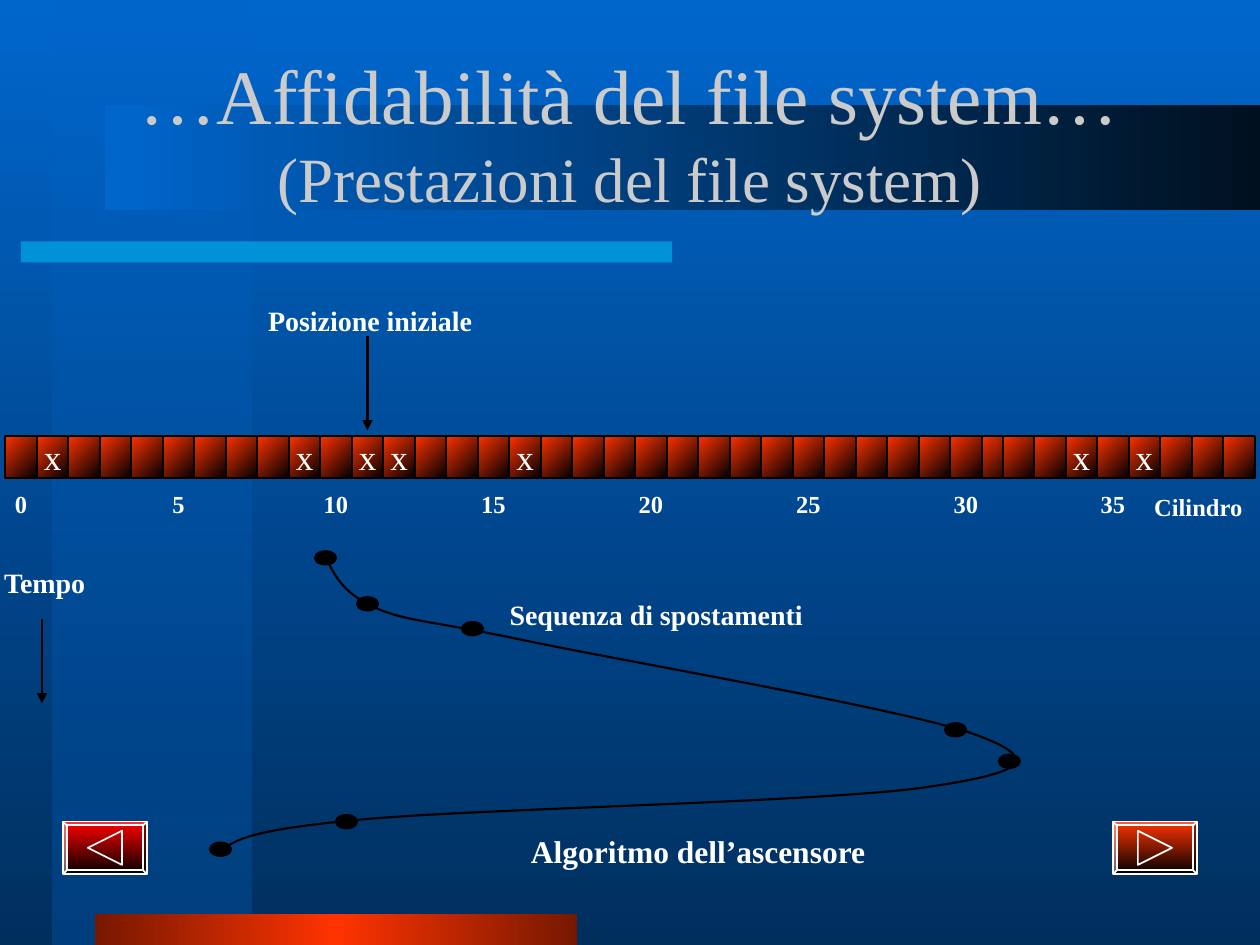
import copy

from lxml import etree
from pptx import Presentation
from pptx import util as u
from pptx.dml.color import RGBColor
from pptx.enum import shapes, text
from pptx.oxml.ns import qn

PX = 9525  # 96 px to the inch
FONT = "Times New Roman"
BLACK = RGBColor(0x00, 0x00, 0x00)
WHITE = RGBColor(0xFF, 0xFF, 0xFF)
SILVER = RGBColor(0xCB, 0xCB, 0xCB)
BLUE = RGBColor(0x00, 0x66, 0xCC)
DEEP_BLUE = RGBColor(0x00, 0x3F, 0x7E)
NAVY = RGBColor(0x00, 0x2F, 0x5E)
NIGHT = RGBColor(0x00, 0x10, 0x1F)
CYAN = RGBColor(0x00, 0xCC, 0xFF)
RED = RGBColor(0xFF, 0x00, 0x00)
ORANGE = RGBColor(0xFF, 0x33, 0x00)
MAROON = RGBColor(0x76, 0x18, 0x00)


def paint_gradient(fill, colors, angle):
    """Fill with evenly spaced colours; the angle runs clockwise in degrees."""
    fill.gradient()
    fill.gradient_angle = (360 - angle) % 360
    first = fill.gradient_stops[0]._gs
    for _ in colors[2:]:
        first.addnext(copy.deepcopy(first))
    for i, (stop, color) in enumerate(zip(fill.gradient_stops, colors)):
        stop.position = i / (len(colors) - 1)
        stop.color.rgb = color


def write(shape, lines, color, bold=False, wrap=False, inset=5):
    """Put centred (text, point size) lines into a shape."""
    frame = shape.text_frame
    frame.word_wrap = wrap
    frame.vertical_anchor = text.MSO_ANCHOR.MIDDLE
    frame.margin_left = frame.margin_right = inset * PX
    frame.margin_top = frame.margin_bottom = 5 * PX
    for i, (line, size) in enumerate(lines):
        paragraph = frame.add_paragraph() if i else frame.paragraphs[0]
        paragraph.text = line
        paragraph.alignment = text.PP_ALIGN.CENTER
        paragraph.font.name = FONT
        paragraph.font.size = u.Pt(size)
        paragraph.font.bold = bold
        paragraph.font.color.rgb = color


presentation = Presentation()
presentation.slide_width = 960 * PX
presentation.slide_height = 720 * PX
slide = presentation.slides.add_slide(presentation.slide_layouts[6])
paint_gradient(slide.background.fill, [BLUE, NAVY], 90)

# Decorative bands
bands = [
    ((40, 0, 152, 720), [BLUE, DEEP_BLUE], 90),
    ((16, 184, 496, 16), [CYAN], 0),
    ((72, 696, 368, 24), [MAROON, ORANGE, MAROON], 0),
    ((80, 80, 880, 80), [BLUE, NIGHT], 0),
]
for box, colors, angle in bands:
    band = slide.shapes.add_shape(shapes.MSO_SHAPE.RECTANGLE, *(n * PX for n in box))
    band.shadow.inherit = False
    band.line.fill.background()
    if len(colors) > 1:
        paint_gradient(band.fill, colors, angle)
    else:
        band.fill.solid()
        band.fill.fore_color.rgb = colors[0]
    if box[1] in (0, 184):  # side panel and cyan bar start half transparent
        first_color = next(band._element.spPr.iter(qn("a:srgbClr")))
        etree.SubElement(first_color, qn("a:alpha"), val="50000")

# Navigation buttons
buttons = [
    (48, RED, [(67, 646), (93, 633), (93, 659)]),
    (848, ORANGE, [(867, 633), (893, 646), (867, 659)]),
]
for left, color, corners in buttons:
    button = slide.shapes.add_shape(
        shapes.MSO_SHAPE.BEVEL, left * PX, 626 * PX, 64 * PX, 40 * PX)
    button.adjustments[0] = 0.07
    paint_gradient(button.fill, [color, BLACK], 90)
    builder = slide.shapes.build_freeform(*corners[0], scale=PX)
    builder.add_line_segments(corners[1:], close=True)
    triangle = builder.convert_to_shape()
    triangle.fill.background()
    for shape in (button, triangle):
        shape.shadow.inherit = False
        shape.line.color.rgb = WHITE
        shape.line.width = u.Pt(1)

title = slide.shapes.add_textbox(72 * PX, 40 * PX, 816 * PX, 120 * PX)
write(title, [("…Affidabilità del file system…", 44), ("(Prestazioni del file system)", 36)],
      SILVER, wrap=True, inset=10)

# Disk cylinders: two strips, the second slightly overlapping the first
requested = {1, 9, 11, 12, 16, 34, 36}
cylinder_lefts = [4 + 24 * i for i in range(32)] + [764 + 24 * i for i in range(8)]
for number, left in enumerate(cylinder_lefts):
    cylinder = slide.shapes.add_shape(
        shapes.MSO_SHAPE.RECTANGLE, left * PX, 332 * PX, 24 * PX, 32 * PX)
    cylinder.shadow.inherit = False
    paint_gradient(cylinder.fill, [ORANGE, BLACK], 45)
    cylinder.line.color.rgb = BLACK
    cylinder.line.width = u.Pt(1.25)
    if number in requested:
        write(cylinder, [("x", 20)], WHITE)

# Scale numbers and captions
labels = [(str(n), 14, (4 + 24 * n, 368, 24, 32)) for n in range(0, 35, 5)]
labels += [
    ("35", 14, (836, 368, 24, 32)),
    ("Cilindro", 14, (873, 366, 80, 40)),
    ("Posizione iniziale", 16, (200, 224, 164, 40)),
    ("Tempo", 16, (0, 424, 68, 40)),
    ("Sequenza di spostamenti", 16, (384, 448, 232, 40)),
    ("Algoritmo dell’ascensore", 18, (400, 616, 264, 64)),
]
for caption, size, box in labels:
    label = slide.shapes.add_textbox(*(n * PX for n in box))
    write(label, [(caption, size)], WHITE, bold=True, inset=0)

# Arrows
for x, top, bottom in [(280, 256, 328), (32, 472, 536)]:
    arrow = slide.shapes.add_connector(
        shapes.MSO_CONNECTOR.STRAIGHT, x * PX, top * PX, x * PX, bottom * PX)
    arrow.line.color.rgb = BLACK
    arrow.line.width = u.Pt(1.25)
    etree.SubElement(arrow.line._get_or_add_ln(), qn("a:tailEnd"), type="triangle")
    etree.SubElement(arrow._element.spPr, qn("a:effectLst"))

# Stops of the disk arm
stops = [(240, 420), (352, 474), (256, 621), (720, 551), (761, 575), (272, 455), (160, 642)]
for left, top in stops:
    dot = slide.shapes.add_shape(
        shapes.MSO_SHAPE.OVAL, left * PX, top * PX, 16 * PX, 10 * PX)
    dot.shadow.inherit = False
    dot.fill.solid()
    dot.fill.fore_color.rgb = BLACK
    dot.line.color.rgb = BLACK
    dot.line.width = u.Pt(1.25)

# Route of the disk arm: every three points make one Bézier segment
route_points = [
    (255, 439), (263, 453), (288, 464),
    (313, 474), (324, 472), (400, 488),
    (476, 504), (693, 541), (744, 560),
    (795, 579), (781, 589), (704, 600),
    (627, 611), (370, 616), (280, 624),
    (191, 632), (179, 641), (168, 648),
]
builder = slide.shapes.build_freeform(248, 424, scale=PX)
builder.add_line_segments(route_points, close=False)
route = builder.convert_to_shape()
route.shadow.inherit = False
route.fill.background()
route.line.color.rgb = BLACK
route.line.width = u.Pt(1.25)
outline = next(route._element.iter(qn("a:path")))
segments = outline.findall(qn("a:lnTo"))
for i in range(0, len(segments), 3):
    curve = etree.SubElement(outline, qn("a:cubicBezTo"))
    for segment in segments[i:i + 3]:
        curve.append(segment[0])
        outline.remove(segment)
for end in ("a:headEnd", "a:tailEnd"):
    etree.SubElement(route.line._get_or_add_ln(), qn(end), type="oval")

presentation.save("out.pptx")
